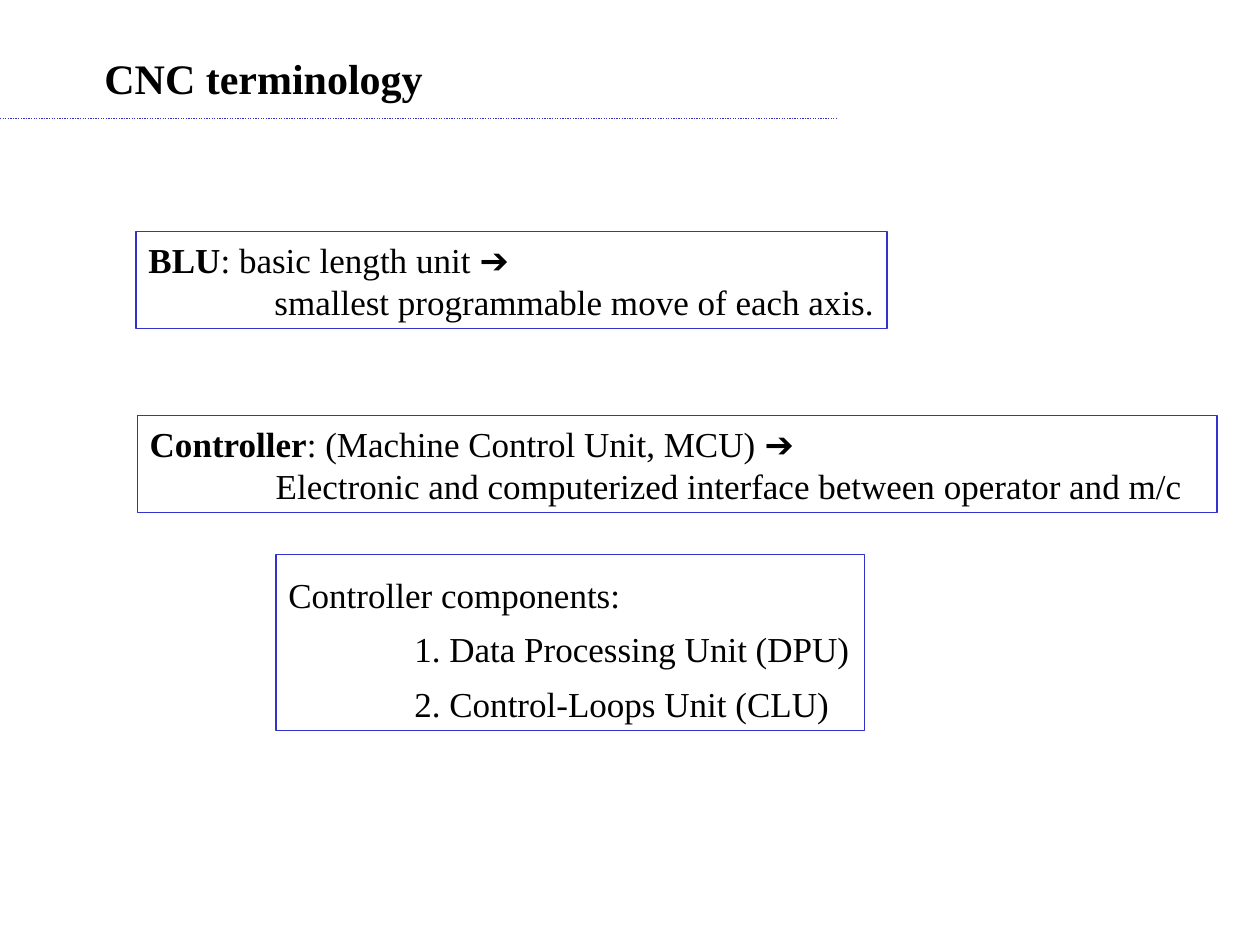
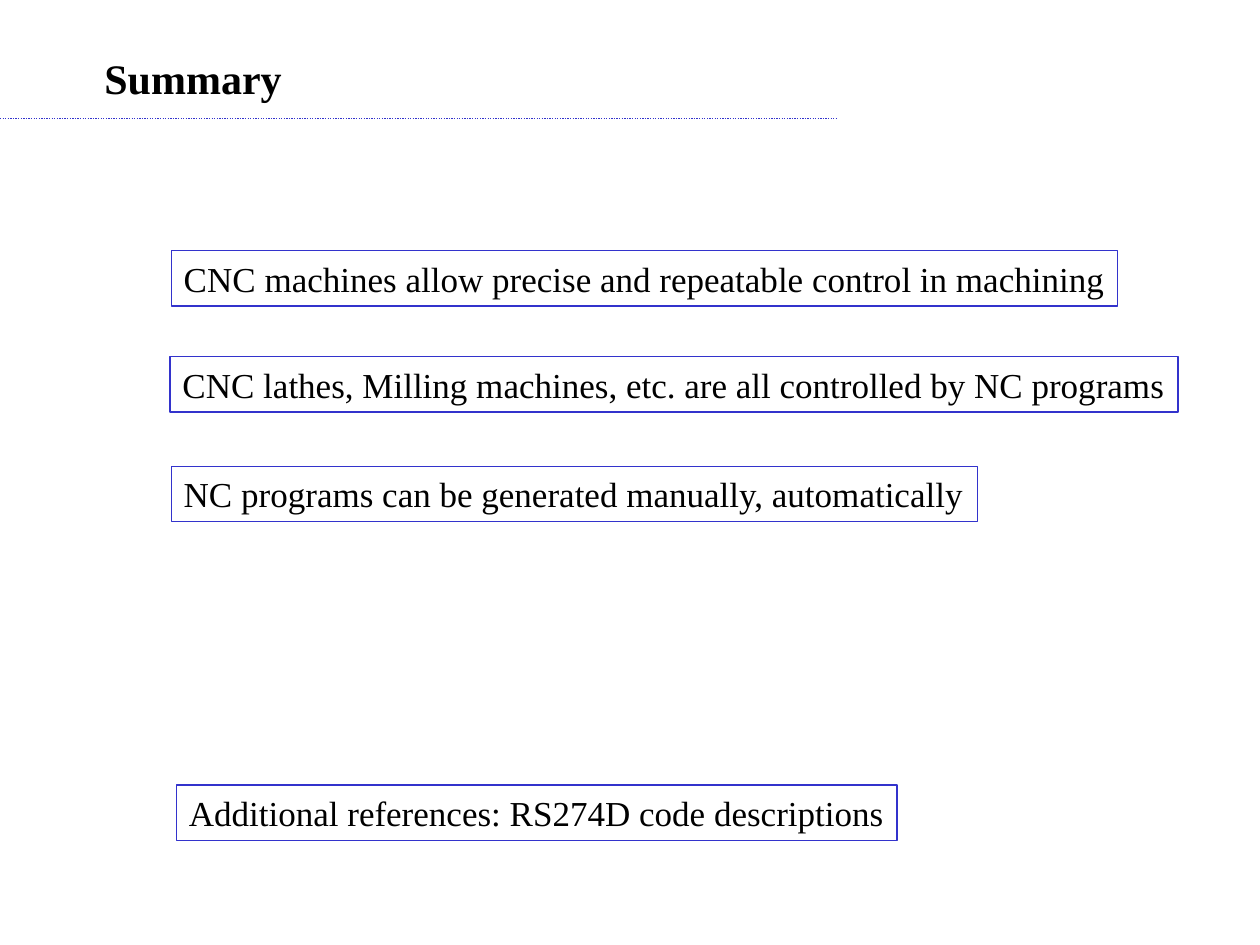
"""Build two slides on CNC terminology and its summary."""
from pptx import Presentation
from pptx.dml.color import RGBColor
from pptx.enum.dml import MSO_LINE
from pptx.enum.shapes import MSO_CONNECTOR, MSO_SHAPE
from pptx.enum.text import MSO_ANCHOR, MSO_AUTO_SIZE, PP_ALIGN
from pptx.oxml.ns import qn
from pptx.util import Inches, Pt
from lxml.etree import SubElement

COLORS = {"rule": "3333CC", "text": "000000"}
SERIF, ARROW_FONT = "Times New Roman", "Arial"
ARROW = "➔"
TITLE_SIZE, BODY_SIZE = 24, 20
INDENT = 1
ROW_HEIGHT, PAIR_HEIGHT = 0.44, 0.77

SLIDES = [
    {
        "title": ("CNC terminology", 2.81),
        "boxes": [
            {
                "at": (1.08, 1.84, 5.96, PAIR_HEIGHT),
                "term": "BLU",
                "lines": [": basic length unit ", "smallest programmable move of each axis."],
            },
            {
                "at": (1.09, 3.3, 8.57, PAIR_HEIGHT),
                "term": "Controller",
                "lines": [
                    ": (Machine Control Unit, MCU) ",
                    "Electronic and computerized interface between operator and m/c",
                ],
                "wrap": True,
            },
            {
                "at": (2.19, 4.4, 4.67, 1.4),
                "lines": [
                    "Controller components:",
                    "1. Data Processing Unit (DPU)",
                    "2. Control-Loops Unit (CLU)",
                ],
                "spacing": 1.3,
            },
        ],
    },
    {
        "title": ("Summary", 1.69),
        "boxes": [
            {"at": (left, top, width, ROW_HEIGHT), "lines": [line]}
            for left, top, width, line in [
                (1.36, 1.99, 7.51, "CNC machines allow precise and repeatable control in machining"),
                (1.35, 2.83, 8, "CNC lathes, Milling machines, etc. are all controlled by NC programs"),
                (1.36, 3.7, 6.4, "NC programs can be generated manually, automatically"),
                (1.4, 6.23, 5.72, "Additional references: RS274D code descriptions"),
            ]
        ],
    },
]


def color(name):
    return RGBColor.from_string(COLORS[name])


def style_line(line):
    line.color.rgb = color("rule")
    line.width = Pt(0.75)


def set_frame(frame, wrap=False):
    settings = {
        "word_wrap": wrap,
        "auto_size": MSO_AUTO_SIZE.SHAPE_TO_FIT_TEXT,
        "vertical_anchor": MSO_ANCHOR.MIDDLE,
    }
    for attribute, value in settings.items():
        setattr(frame, attribute, value)


def add_run(paragraph, text, size=BODY_SIZE, bold=False, face=SERIF):
    run = paragraph.add_run()
    run.text = text
    for attribute, value in {"size": Pt(size), "bold": bold, "name": face}.items():
        setattr(run.font, attribute, value)
    run.font.color.rgb = color("text")


def add_heading(slide, title, width):
    rule = slide.shapes.add_connector(
        MSO_CONNECTOR.STRAIGHT, 0, Inches(0.94), Inches(6.65), Inches(0.94))
    style_line(rule.line)
    rule.line.dash_style = MSO_LINE.ROUND_DOT
    SubElement(rule._element.spPr, qn("a:effectLst"))
    heading = slide.shapes.add_textbox(*map(Inches, (0.73, 0.37, width, 0.5)))
    set_frame(heading.text_frame)
    add_run(heading.text_frame.paragraphs[0], title, TITLE_SIZE, bold=True)


def add_box(slide, at, lines, term=None, wrap=False, spacing=None):
    box = slide.shapes.add_shape(MSO_SHAPE.RECTANGLE, *map(Inches, at))
    box.shadow.inherit = False
    box.fill.background()
    style_line(box.line)
    frame = box.text_frame
    set_frame(frame, wrap)
    for index, line in enumerate(lines):
        paragraph = frame.add_paragraph() if index else frame.paragraphs[0]
        paragraph.alignment = PP_ALIGN.LEFT
        paragraph.line_spacing = spacing
        defines = term and index == 0
        if index:
            paragraph._p.get_or_add_pPr().set("marL", str(Inches(INDENT)))
        if defines:
            add_run(paragraph, term, bold=True)
        add_run(paragraph, line)
        if defines:
            add_run(paragraph, ARROW, face=ARROW_FONT)


def main():
    deck = Presentation()
    deck.slide_width, deck.slide_height = Inches(10), Inches(7.5)
    for content in SLIDES:
        slide = deck.slides.add_slide(deck.slide_layouts[6])
        add_heading(slide, *content["title"])
        for box in content["boxes"]:
            add_box(slide, **box)
    deck.save("out.pptx")


if __name__ == "__main__":
    main()
